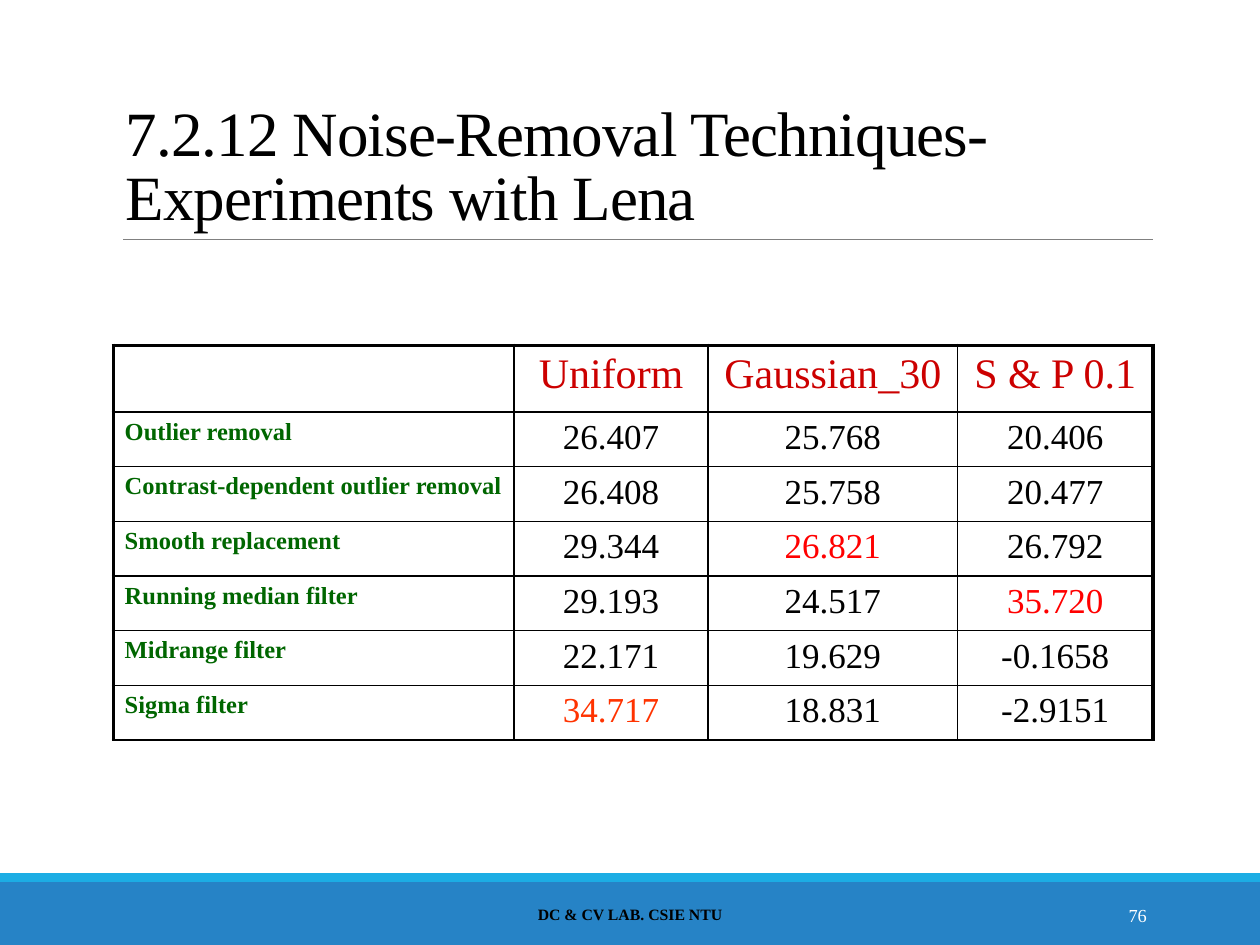
from pptx import Presentation
from pptx.dml.color import RGBColor
from pptx.enum.shapes import MSO_CONNECTOR, MSO_SHAPE
from pptx.enum.text import MSO_ANCHOR, PP_ALIGN
from pptx.oxml.ns import qn
from pptx.util import Inches, Pt
from lxml.etree import SubElement

BLACK = RGBColor(0x00, 0x00, 0x00)
WHITE = RGBColor(0xFF, 0xFF, 0xFF)
GRAY = RGBColor(0x80, 0x80, 0x80)
BLUE = RGBColor(0x26, 0x83, 0xC6)
CYAN = RGBColor(0x1C, 0xAD, 0xE4)
CRIMSON = RGBColor(0xCC, 0x00, 0x00)
GREEN = RGBColor(0x00, 0x66, 0x00)
RED = RGBColor(0xFF, 0x00, 0x00)
ORANGE = RGBColor(0xFF, 0x33, 0x00)


def write(frame, text, size, color, align, bold=False):
    para = frame.paragraphs[0]
    para.add_run().text = text
    para.alignment = align
    font = para.font
    font.name, font.size, font.bold = "Times New Roman", Pt(size), bold
    font.color.rgb = color
    return para


def add_text(left, top, width, height, anchor, *style):
    box = slide.shapes.add_textbox(Inches(left), Inches(top), Inches(width), Inches(height))
    frame = box.text_frame
    frame.word_wrap = True
    frame.vertical_anchor = anchor
    return write(frame, *style)


deck = Presentation()
deck.slide_width, deck.slide_height = Inches(10), Inches(7.5)
slide = deck.slides.add_slide(deck.slide_layouts[6])

# Footer bands
for top, height, color in [(7, 0.5, BLUE), (6.93, 0.07, CYAN)]:
    band = slide.shapes.add_shape(
        MSO_SHAPE.RECTANGLE, 0, Inches(top), Inches(10), Inches(height))
    band.shadow.inherit = False
    band.fill.solid()
    band.fill.fore_color.rgb = color
    band.line.fill.background()

# Rule under the title
rule = slide.shapes.add_connector(
    MSO_CONNECTOR.STRAIGHT, Inches(0.98), Inches(1.9), Inches(9.15), Inches(1.9))
rule.line.color.rgb = GRAY
rule.line.width = Pt(0.5)
SubElement(rule._element.spPr, qn("a:effectLst"))

# Title
title = add_text(0.9, 0.31, 8.25, 1.59, MSO_ANCHOR.BOTTOM,
                 "7.2.12 Noise-Removal Techniques-Experiments with Lena",
                 36, BLACK, PP_ALIGN.LEFT)
title.line_spacing = 0.85
title.runs[0]._r.get_or_add_rPr().set("spc", "-50")

# Results table
rows = [
    ("", "Uniform", "Gaussian_30", "S & P 0.1"),
    ("Outlier removal", "26.407", "25.768", "20.406"),
    ("Contrast-dependent outlier removal", "26.408", "25.758", "20.477"),
    ("Smooth replacement", "29.344", "26.821", "26.792"),
    ("Running median filter", "29.193", "24.517", "35.720"),
    ("Midrange filter", "22.171", "19.629", "-0.1658"),
    ("Sigma filter", "34.717", "18.831", "-2.9151"),
]
best = {(3, 2): RED, (4, 3): RED, (6, 1): ORANGE}
widths = [3.18, 1.54, 1.98, 1.55]
last = len(widths) - 1

table = slide.shapes.add_table(
    len(rows), len(widths), Inches(0.9), Inches(2.74), Inches(8.25), Inches(3.13)).table
table.first_row = table.horz_banding = False
for col, width in zip(table.columns, widths):
    col.width = Inches(width)

for i, row in enumerate(rows):
    table.rows[i].height = Inches(0.43 if i else 0.53)
    for j, text in enumerate(row):
        cell = table.cell(i, j)
        cell.margin_left = cell.margin_right = Inches(0.09)
        cell.margin_top = cell.margin_bottom = Inches(0.05)
        if i == 0:
            style = 24, CRIMSON, PP_ALIGN.CENTER
        elif j == 0:
            style = 14, GREEN, PP_ALIGN.LEFT, True
        else:
            style = 20, best.get((i, j), BLACK), PP_ALIGN.CENTER
        if text:
            write(cell.text_frame, text, *style)

        # Borders: heavy on the left, top and right edges of the table
        props = cell._tc.get_or_add_tcPr()
        edges = [("lnL", j == 0), ("lnR", j == last), ("lnT", i == 0), ("lnB", False)]
        for tag, heavy in edges:
            line = SubElement(props, qn("a:" + tag), w=str(Pt(2.25 if heavy else 1)))
            fill = SubElement(line, qn("a:solidFill"))
            SubElement(fill, qn("a:srgbClr"), val=str(BLACK))
        cell.fill.background()

# Footer and page number
add_text(3.02, 7.06, 3.96, 0.4, MSO_ANCHOR.MIDDLE,
         "DC & CV LAB. CSIE NTU", 9, BLACK, PP_ALIGN.CENTER, True)
add_text(8.12, 7.06, 1.08, 0.4, MSO_ANCHOR.MIDDLE, "76", 10.5, WHITE, PP_ALIGN.RIGHT)

deck.save("out.pptx")
